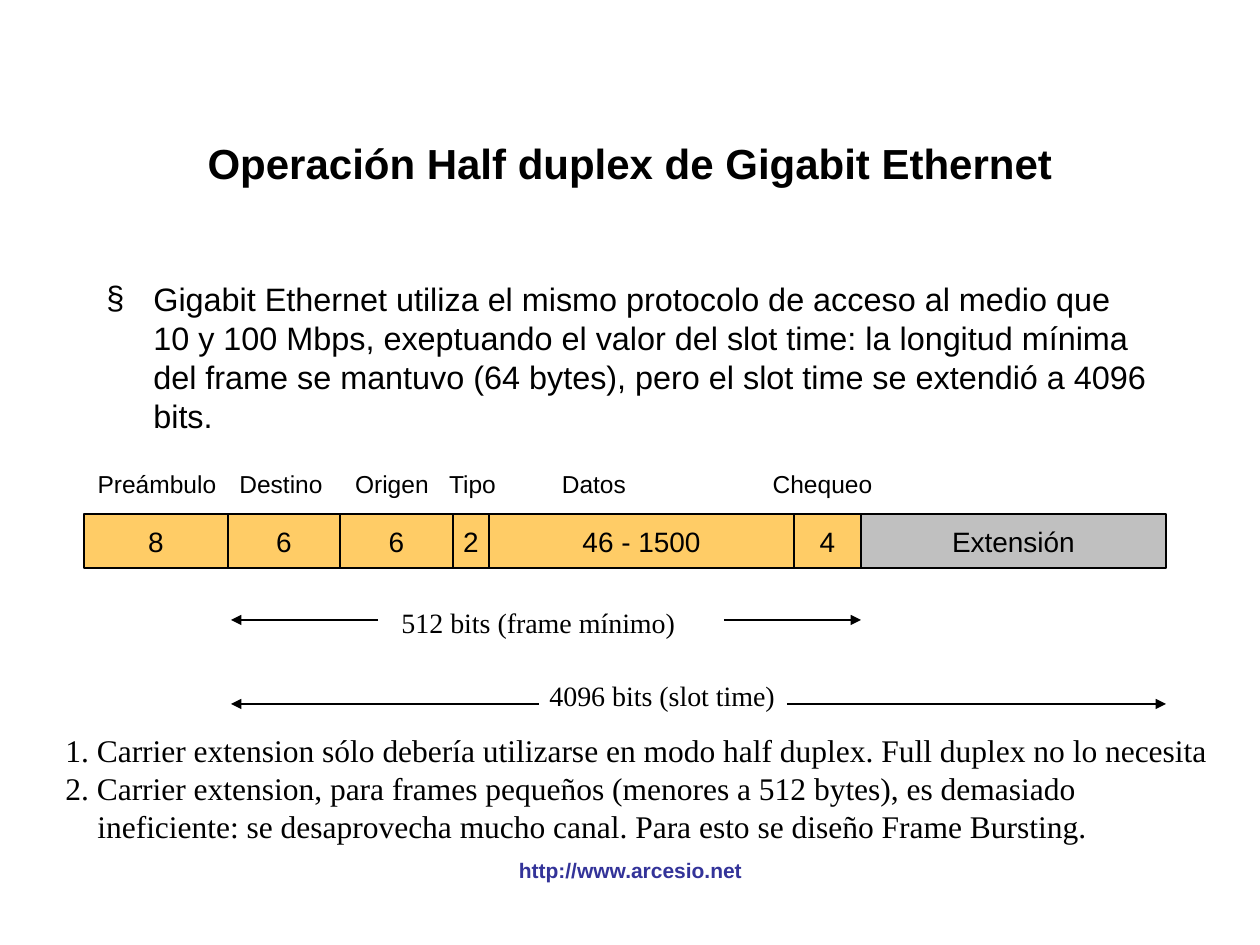
"""Build the slide on half-duplex operation of Gigabit Ethernet."""
from lxml.etree import SubElement
from pptx import Presentation
from pptx.dml.color import RGBColor
from pptx.enum.shapes import MSO_CONNECTOR as Connector, MSO_SHAPE as Shape
from pptx.enum.text import MSO_ANCHOR as Anchor, MSO_AUTO_SIZE as AutoSize, PP_ALIGN as Align
from pptx.oxml.ns import qn
from pptx.util import Emu, Pt

BLACK = RGBColor(0x00, 0x00, 0x00)
ORANGE = RGBColor(0xFF, 0xCC, 0x66)
GRAY = RGBColor(0xC0, 0xC0, 0xC0)
BLUE = RGBColor(0x33, 0x33, 0x99)
SANS, SERIF = "Arial", "Times New Roman"

TITLE = "Operación Half duplex de Gigabit Ethernet"
BODY = ("Gigabit Ethernet utiliza el mismo protocolo de acceso al medio que "
        "10 y 100 Mbps, exeptuando el valor del slot time: la longitud mínima "
        "del frame se mantuvo (64 bytes), pero el slot time se extendió a 4096 bits.")
NOTES = [
    "1. Carrier extension sólo debería utilizarse en modo half duplex. Full duplex no lo necesita",
    "2. Carrier extension, para frames pequeños (menores a 512 bytes), es demasiado\v"
    "ineficiente: se desaprovecha mucho canal. Para esto se diseño Frame Bursting.",
]
SITE = "http://www.arcesio.net"
FIELDS = [("8", 144, ORANGE), ("6", 112, ORANGE), ("6", 113, ORANGE), ("2", 36, ORANGE),
          ("46 - 1500", 305, ORANGE), ("4", 67, ORANGE), ("Extensión", 305, GRAY)]
HEADINGS = [("Preámbulo", 84, 146), ("Destino", 227, 108), ("Origen", 343, 98),
            ("Tipo", 436, 73), ("Datos", 549, 90), ("Chequeo", 760, 125)]
SPANS = [
    {"label": "512 bits (frame mínimo)", "box": (389, 599, 299, 46), "y": 620,
     "arrows": [(378, 231), (724, 861)]},
    {"label": "4096 bits (slot time)", "box": (537, 672, 251, 46), "y": 704,
     "arrows": [(539, 231), (787, 1166)]},
]
ROW_LEFT, ROW_TOP, ROW_HEIGHT = 84, 514, 54
HEADING_TOP, HEADING_HEIGHT = 462, 43


def px(length):
    return Emu(round(length * 914400 / 126))


def write(shape, lines, size, family=SANS, color=BLACK, bold=False,
          align=Align.CENTER, anchor=Anchor.MIDDLE, wrap=False, hanging=0):
    frame = shape.text_frame
    layout = {"auto_size": AutoSize.NONE, "word_wrap": wrap, "vertical_anchor": anchor}
    for name, value in layout.items():
        setattr(frame, name, value)
    frame.text = "\n".join(lines)
    for paragraph in frame.paragraphs:
        paragraph.alignment = align
        if hanging:
            properties = paragraph._p.get_or_add_pPr()
            properties.set("marL", str(px(hanging)))
            properties.set("indent", str(-px(hanging)))
        for run in paragraph.runs:
            for name, value in {"name": family, "size": Pt(size), "bold": bold}.items():
                setattr(run.font, name, value)
            run.font.color.rgb = color


def add_text(slide, box, lines, size, **style):
    textbox = slide.shapes.add_textbox(*map(px, box))
    write(textbox, lines, size, **style)
    return textbox


def add_bullet(paragraph, mark):
    properties = paragraph._p.get_or_add_pPr()
    SubElement(properties, qn("a:buFont"), typeface=SANS)
    SubElement(properties, qn("a:buChar"), char=mark)


def add_field(slide, left, width, label, fill):
    field = slide.shapes.add_shape(
        Shape.RECTANGLE, *map(px, (left, ROW_TOP, width, ROW_HEIGHT)))
    field.shadow.inherit = False
    field.fill.solid()
    field.fill.fore_color.rgb = fill
    field.line.color.rgb = BLACK
    field.line.width = Pt(0.75)
    write(field, [label], 16)


def add_arrow(slide, start, end, y):
    arrow = slide.shapes.add_connector(Connector.STRAIGHT, *map(px, (start, y, end, y)))
    arrow.line.color.rgb = BLACK
    arrow.line.width = Pt(0.75)
    SubElement(arrow.line._get_or_add_ln(), qn("a:tailEnd"), type="triangle")
    SubElement(arrow._element.spPr, qn("a:effectLst"))


def main():
    deck = Presentation()
    deck.slide_width, deck.slide_height = px(1260), px(945)
    slide = deck.slides.add_slide(deck.slide_layouts[5])

    title = slide.shapes.title
    title.left, title.top, title.width, title.height = map(px, (94, 84, 1072, 158))
    write(title, [TITLE], 24, bold=True, wrap=True)

    body = add_text(slide, (94, 273, 1072, 179), [BODY], 18.5, align=Align.LEFT,
                    anchor=Anchor.TOP, wrap=True, hanging=47)
    add_bullet(body.text_frame.paragraphs[0], "§")

    left = ROW_LEFT
    for label, width, fill in FIELDS:
        add_field(slide, left, width, label, fill)
        left += width
    for heading, start, width in HEADINGS:
        add_text(slide, (start, HEADING_TOP, width, HEADING_HEIGHT), [heading], 14)

    for span in SPANS:
        add_text(slide, span["box"], [span["label"]], 16, family=SERIF,
                 align=Align.LEFT, anchor=Anchor.TOP)
        for start, end in span["arrows"]:
            add_arrow(slide, start, end, span["y"])

    add_text(slide, (53, 725, 1167, 126), NOTES, 18, family=SERIF,
             align=Align.LEFT, anchor=Anchor.TOP, hanging=32)
    add_text(slide, (431, 851, 399, 38), [SITE], 12, color=BLUE, bold=True,
             anchor=Anchor.BOTTOM, wrap=True)
    deck.save("out.pptx")


if __name__ == "__main__":
    main()
